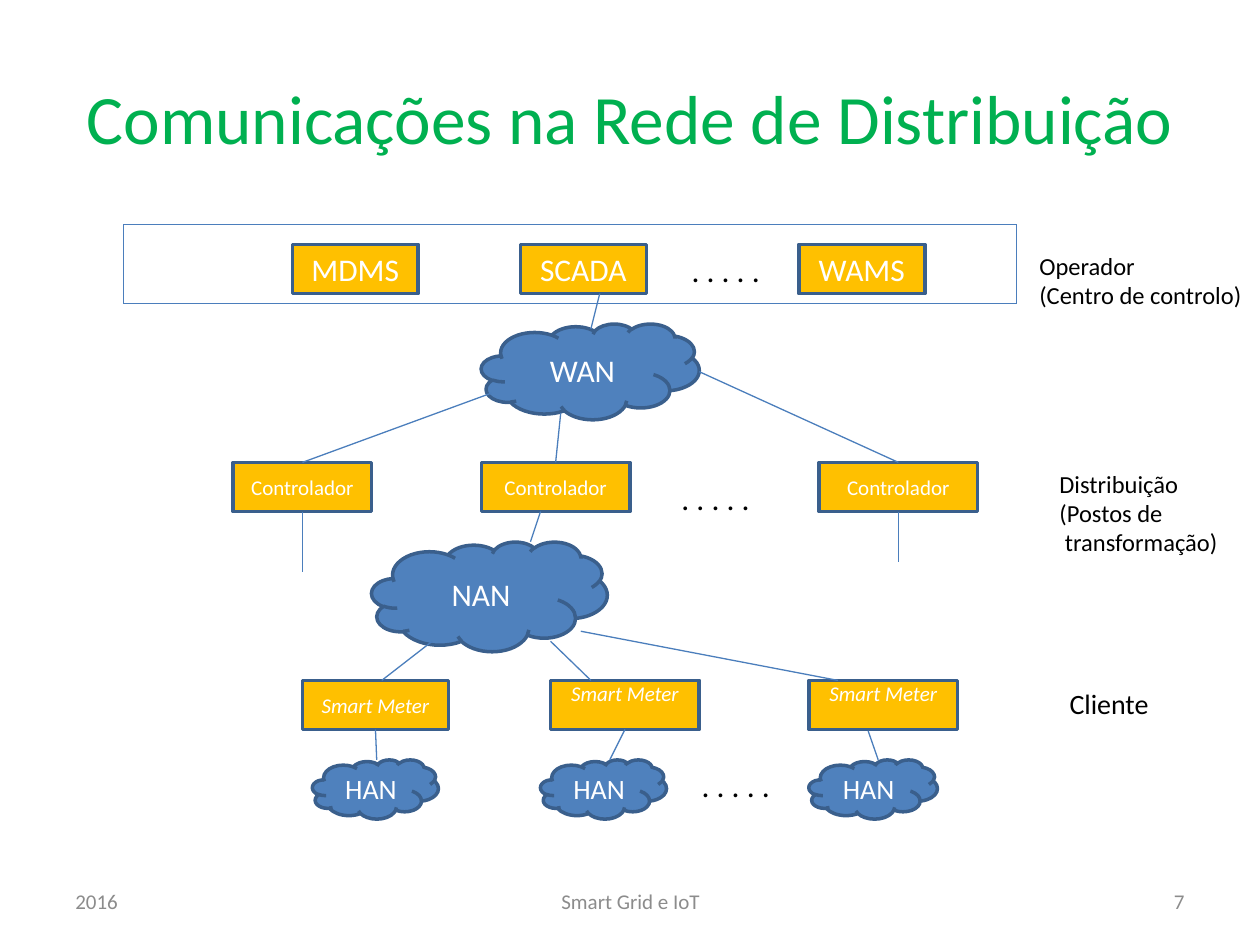
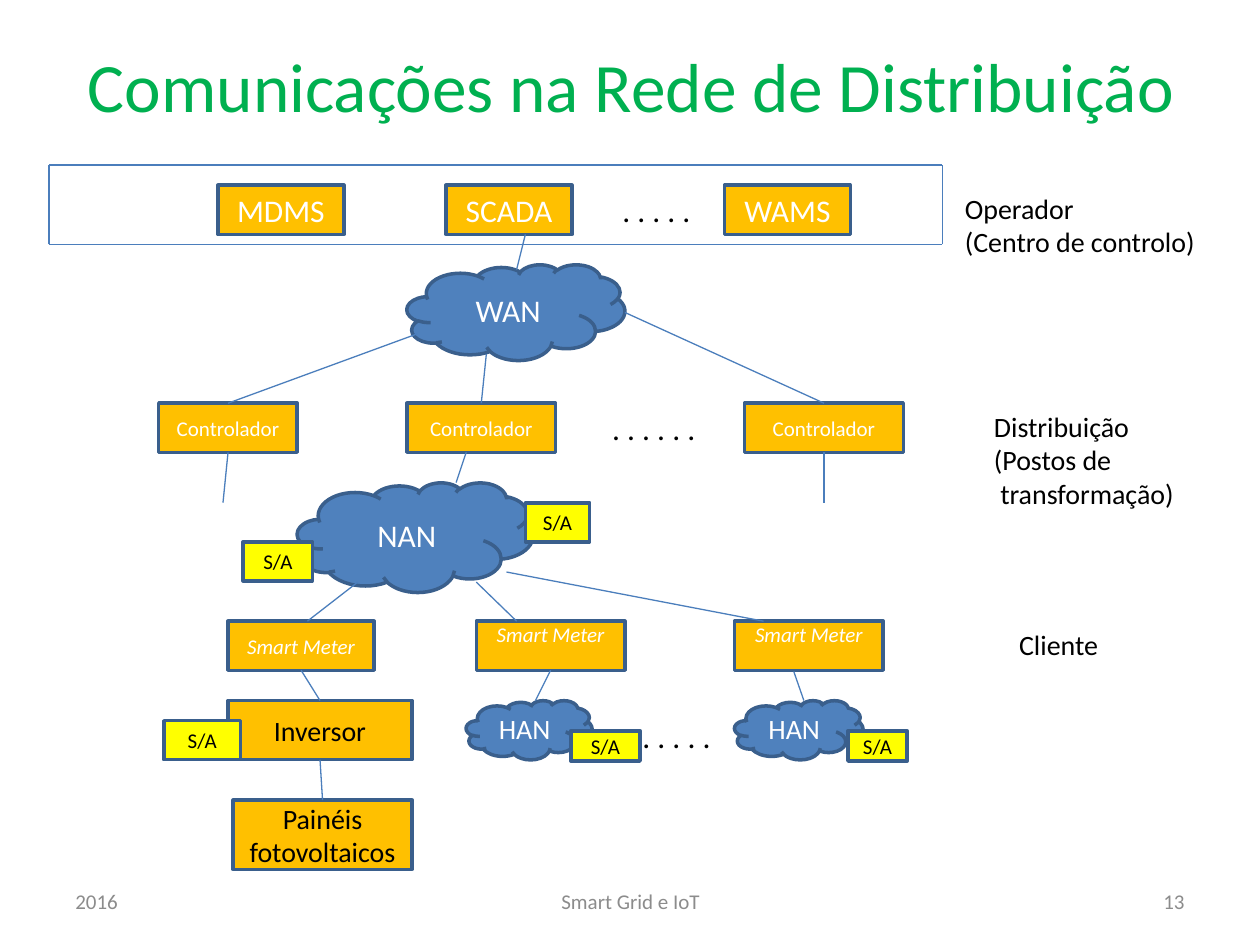
from lxml import etree
from pptx import Presentation
from pptx.dml.color import RGBColor
from pptx.enum.shapes import MSO_CONNECTOR, MSO_SHAPE
from pptx.enum.text import MSO_ANCHOR, PP_ALIGN
from pptx.oxml.ns import qn
from pptx.util import Inches, Pt

RECTANGLE, CLOUD = MSO_SHAPE.RECTANGLE, MSO_SHAPE.CLOUD
STRAIGHT = MSO_CONNECTOR.STRAIGHT
LEFT, CENTER, RIGHT = PP_ALIGN.LEFT, PP_ALIGN.CENTER, PP_ALIGN.RIGHT
TOP_ANCHOR, MIDDLE = MSO_ANCHOR.TOP, MSO_ANCHOR.MIDDLE
TOP, BOTTOM = 0, 2

FONT = "Calibri"
GREEN, ORANGE, YELLOW, BLUE = "00B050", "FFC000", "FFFF00", "4F81BD"
OUTLINE, LINK = "3A5F8C", "4B7EBC"
WHITE, BLACK, GRAY = "FFFFFF", "000000", "8C8C8C"
TITLE = "Comunicações na Rede de Distribuição"


def color(hex_value):
    return RGBColor.from_string(hex_value)


def write(shape, lines, size, text_color, alignment=LEFT, anchor=TOP_ANCHOR, italic=False):
    frame = shape.text_frame
    frame.vertical_anchor = anchor
    for index, line in enumerate(lines):
        paragraph = frame.paragraphs[0] if index == 0 else frame.add_paragraph()
        paragraph.alignment = alignment
        run = paragraph.add_run()
        run.text = line
        run.font.name = FONT
        run.font.size = Pt(size)
        run.font.italic = italic
        run.font.color.rgb = color(text_color)


STYLES = {
    "system": (RECTANGLE, ORANGE, 18, WHITE),
    "controller": (RECTANGLE, ORANGE, 12, WHITE),
    "meter": (RECTANGLE, ORANGE, 12, WHITE),
    "equipment": (RECTANGLE, ORANGE, 16, BLACK),
    "sensor": (RECTANGLE, YELLOW, 12, BLACK),
    "network": (CLOUD, BLUE, 18, WHITE),
    "home": (CLOUD, BLUE, 16, WHITE),
}

SHARED_NODES = [
    ("mdms", "system", "MDMS", 2.32, 1.94, 1, 0.39),
    ("scada", "system", "SCADA", 4.13, 1.94, 1, 0.39),
    ("wams", "system", "WAMS", 6.34, 1.94, 1, 0.39),
    ("wan", "network", "WAN", 3.82, 2.57, 1.73, 0.76),
    ("controller 1", "controller", "Controlador", 1.85, 3.67, 1.1, 0.39),
    ("controller 2", "controller", "Controlador", 3.82, 3.67, 1.18, 0.39),
    ("controller 3", "controller", "Controlador", 6.5, 3.67, 1.26, 0.39),
    ("nan", "network", "NAN", 2.95, 4.3, 1.87, 0.87),
    ("meter 1", "meter", "Smart Meter", 2.4, 5.4, 1.16, 0.39),
    ("meter 2", "meter", "Smart Meter", 4.37, 5.4, 1.18, 0.39),
    ("meter 3", "meter", "Smart Meter", 6.42, 5.4, 1.18, 0.39),
    ("han 2", "home", "HAN", 4.29, 6.03, 1, 0.47),
    ("han 3", "home", "HAN", 6.42, 6.03, 1.02, 0.47),
]

FRAME = [(0.98, 1.78), (8.07, 1.78), (8.07, 2.41), (0.98, 2.41)]
SHARED_LINKS = list(zip(FRAME, FRAME[1:] + FRAME[:1])) + [
    ((4.76, 2.33), (4.69, 2.61)),
    (("controller 1", TOP), (3.9, 3.12)),
    (("controller 2", TOP), (4.45, 3.28)),
    ((5.55, 2.95), ("controller 3", TOP)),
    ((4.21, 4.3), (4.29, 4.06)),
    (("controller 3", BOTTOM), (7.13, 4.46)),
    ((3.03, 5.4), (3.43, 5.09)),
    ((4.69, 5.4), (4.37, 5.09)),
    ((4.61, 5.01), (6.65, 5.4)),
    (("meter 2", BOTTOM), (4.84, 6.03)),
    ((6.89, 5.8), (6.97, 6.03)),
]

OPERATOR = ["Operador", "(Centro de controlo)"]
DISTRIBUTION = ["Distribuição", "(Postos de", " transformação)"]
CLIENT = ["Cliente"]
DOTS = [". . . . ."]

SLIDES = [
    {
        "number": "7",
        "title": (0.5, 0.3, 9, 1.25),
        "shift": (0, 0),
        "nodes": [("han 1", "home", "HAN", 2.48, 6.03, 1, 0.47)],
        "links": [
            (("controller 1", BOTTOM), (2.4, 4.54)),
            ((2.99, 6.03), ("meter 1", BOTTOM)),
        ],
        "labels": [
            (OPERATOR, 14, 8.15, 1.94, 1.82, 0.57),
            (DISTRIBUTION, 14, 8.31, 3.67, 1.47, 0.81),
            (CLIENT, 16, 8.39, 5.4, 0.84, 0.37),
            (DOTS, 18, 5.39, 1.94, 0.75, 0.4),
            (DOTS, 18, 5.31, 3.75, 0.81, 0.4),
            (DOTS, 18, 5.47, 6.03, 0.81, 0.4),
        ],
    },
    {
        "number": "13",
        "title": (0.51, 0, 9, 1.34),
        "shift": (-0.59, -0.47),
        "nodes": [
            ("inverter", "equipment", "Inversor", 2.4, 6.03, 1.46, 0.47),
            ("panels", "equipment", "Painéis fotovoltaicos", 2.44, 6.82, 1.42, 0.55),
            ("sensor 1", "sensor", "S/A", 4.76, 4.46, 0.51, 0.31),
            ("sensor 2", "sensor", "S/A", 2.52, 4.77, 0.55, 0.31),
            ("sensor 3", "sensor", "S/A", 1.89, 6.19, 0.61, 0.31),
            ("sensor 4", "sensor", "S/A", 5.12, 6.27, 0.55, 0.24),
            ("sensor 5", "sensor", "S/A", 7.32, 6.27, 0.47, 0.24),
        ],
        "links": [
            (("controller 1", BOTTOM), (2.36, 4.46)),
            (("inverter", TOP), ("meter 1", BOTTOM)),
            (("inverter", BOTTOM), ("panels", TOP)),
        ],
        "labels": [
            (OPERATOR, 16, 7.56, 1.47, 2.05, 0.64),
            (DISTRIBUTION, 16, 7.79, 3.2, 1.65, 0.91),
            (CLIENT, 16, 7.99, 4.93, 0.84, 0.37),
            (DOTS, 18, 4.84, 1.47, 0.81, 0.4),
            ([". . . . . ."], 18, 4.76, 3.2, 0.87, 0.4),
            (DOTS, 18, 5, 5.64, 0.75, 0.4),
        ],
    },
]

presentation = Presentation()
presentation.slide_width = Inches(10)
presentation.slide_height = Inches(7.5)

for content in SLIDES:
    slide = presentation.slides.add_slide(presentation.slide_layouts[5])
    shift_x, shift_y = content["shift"]

    title = slide.shapes.title
    title.left, title.top, title.width, title.height = map(Inches, content["title"])
    write(title, [TITLE], 39.6, GREEN, CENTER, MIDDLE)

    nodes = {}
    for name, style, text, left, top, width, height in SHARED_NODES + content["nodes"]:
        preset, fill, size, text_color = STYLES[style]
        shape = slide.shapes.add_shape(
            preset, Inches(left + shift_x), Inches(top + shift_y), Inches(width), Inches(height))
        shape.shadow.inherit = False
        shape.fill.solid()
        shape.fill.fore_color.rgb = color(fill)
        shape.line.color.rgb = color(OUTLINE)
        shape.line.width = Pt(2)
        raised = name in ("meter 2", "meter 3")
        if raised:
            shape.text_frame.margin_top = 0
        write(shape, [text], size, text_color, CENTER,
              TOP_ANCHOR if raised else MIDDLE, style == "meter")
        nodes[name] = shape

    for ends in SHARED_LINKS + content["links"]:
        connector = slide.shapes.add_connector(STRAIGHT, 0, 0, 0, 0)
        begin, end = ends
        if begin[0] in nodes:
            connector.begin_connect(nodes[begin[0]], begin[1])
        else:
            connector.begin_x = Inches(begin[0] + shift_x)
            connector.begin_y = Inches(begin[1] + shift_y)
        if end[0] in nodes:
            connector.end_connect(nodes[end[0]], end[1])
        else:
            connector.end_x = Inches(end[0] + shift_x)
            connector.end_y = Inches(end[1] + shift_y)
        connector.line.color.rgb = color(LINK)
        connector.line.width = Pt(0.75)
        etree.SubElement(connector._element.spPr, qn("a:effectLst"))

    for lines, size, left, top, width, height in content["labels"]:
        label = slide.shapes.add_textbox(*map(Inches, (left, top, width, height)))
        label.text_frame.word_wrap = False
        write(label, lines, size, BLACK)

    for text, left, width, alignment in [
        ("2016", 0.5, 2.33, LEFT),
        ("Smart Grid e IoT", 3.42, 3.17, CENTER),
        (content["number"], 7.17, 2.33, RIGHT),
    ]:
        footer = slide.shapes.add_textbox(*map(Inches, (left, 6.95, width, 0.4)))
        footer.text_frame.word_wrap = True
        write(footer, [text], 12, GRAY, alignment, MIDDLE)

presentation.save("out.pptx")
